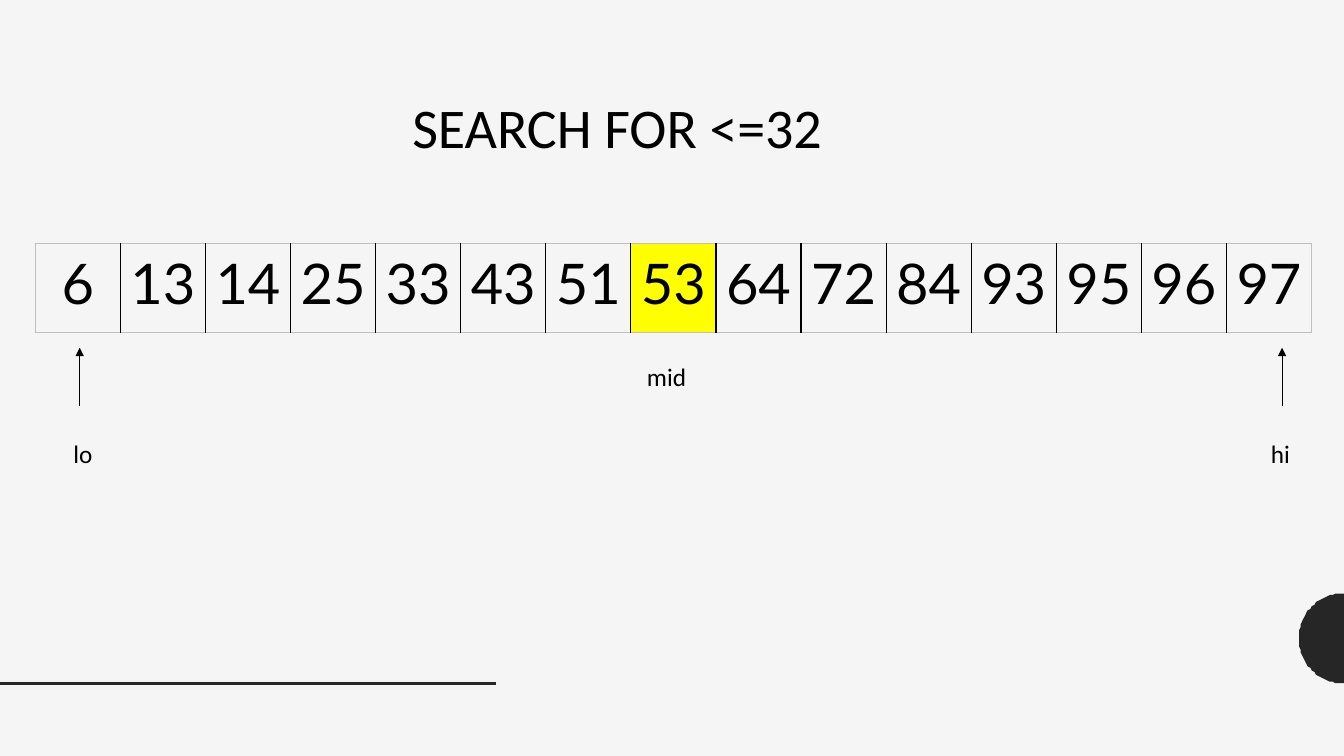
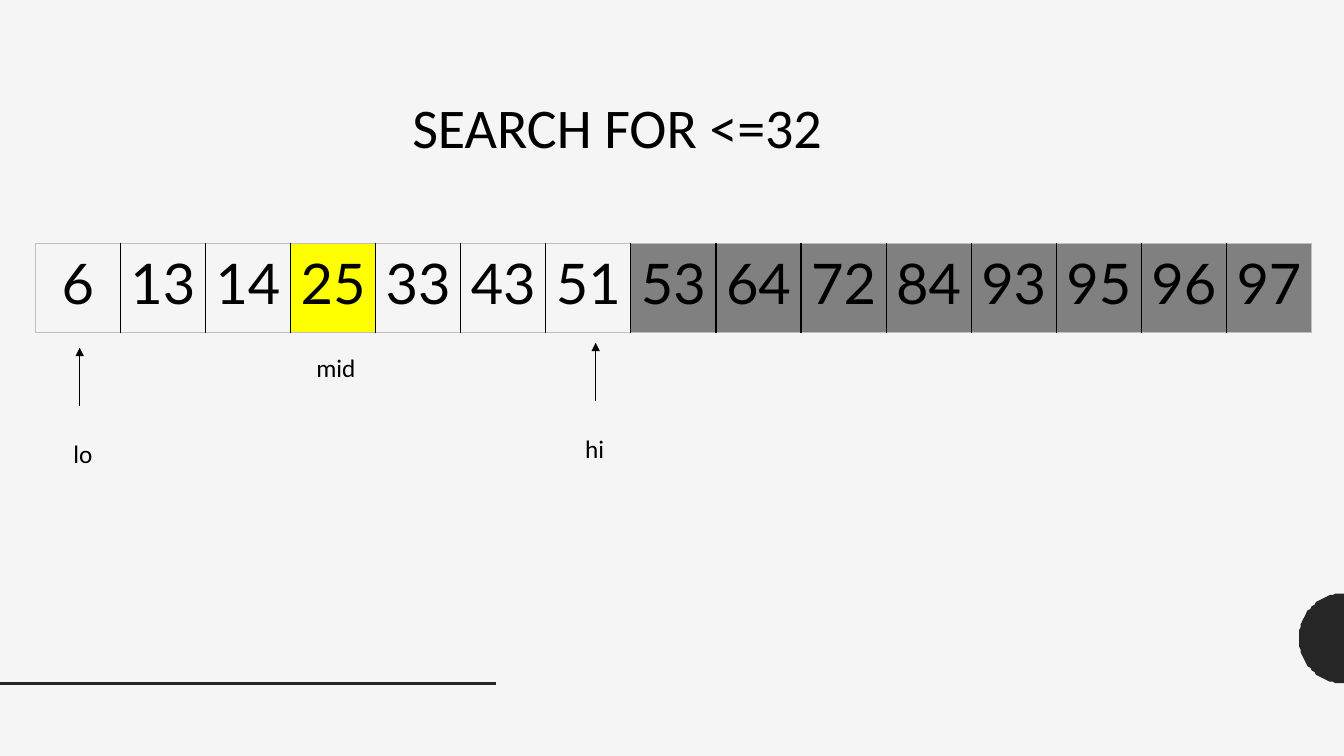
from math import cos, pi, sin
from lxml.etree import SubElement as Sub
from pptx import Presentation
from pptx.dml.color import RGBColor as Color
from pptx.enum.shapes import MSO_CONNECTOR as Link
from pptx.enum.text import MSO_ANCHOR as Anchor, MSO_AUTO_SIZE as Auto, PP_ALIGN as Align
from pptx.oxml.ns import qn
from pptx.util import Pt

HUES = {"back": "F5F5F5", "dark": "262626", "ink": "000000",
        "edge": "BFBFBF", "mid": "FFFF00", "out": "808080"}
VALUES = [6, 13, 14, 25, 33, 43, 51, 53, 64, 72, 84, 93, 95, 96, 97]


def hue(name):
    return Color.from_string(HUES[name])


def write(frame, text, size=18, font="Calibri", tint="ink", align=Align.LEFT):
    para = frame.paragraphs[0]
    para.alignment = align
    run = para.add_run()
    run.text = text
    run.font.size = Pt(size)
    run.font.name = font
    run.font.color.rgb = hue(tint)


class Deck:
    def __init__(self):
        self.prs = Presentation()
        self.prs.slide_width, self.prs.slide_height = Pt(960), Pt(540)
        fill = self.prs.slide_master.background.fill
        fill.solid()
        fill.fore_color.rgb = hue("back")

    def page(self, title):
        self.slide = self.prs.slides.add_slide(self.prs.slide_layouts[5])
        self.shapes = self.slide.shapes
        self.disc(960, 456, 32.3)
        self.line(self.shapes, (0, 488.2), (354.2, 488.2), "dark", 2)
        self.title(title)

    def title(self, text):
        box = self.shapes.title
        box.left, box.top, box.width, box.height = Pt(287.3), Pt(62.6), Pt(355), Pt(55.4)
        frame = box.text_frame
        frame.auto_size = Auto.NONE
        frame.vertical_anchor = Anchor.TOP
        write(frame, text, size=40)

    def disc(self, x, y, radius, steps=48):
        arc = [(x - radius * sin(pi * i / steps), y - radius * cos(pi * i / steps))
               for i in range(steps + 1)]
        form = self.shapes.build_freeform(*arc[0], scale=Pt(1))
        form.add_line_segments(arc[1:], close=True)
        shape = form.convert_to_shape()
        shape.shadow.inherit = False
        shape.fill.solid()
        shape.fill.fore_color.rgb = hue("dark")
        shape.line.fill.background()

    def line(self, shapes, start, end, tint, width, head=False):
        link = shapes.add_connector(Link.STRAIGHT, *map(Pt, start + end))
        link.line.color.rgb = hue(tint)
        link.line.width = Pt(width)
        if head:
            Sub(link.line._get_or_add_ln(), qn("a:tailEnd"), type="triangle")
        Sub(link._element.spPr, qn("a:effectLst"))

    def label(self, shapes, text, x, y, width):
        box = shapes.add_textbox(Pt(x), Pt(y), Pt(width), Pt(29))
        box.text_frame.word_wrap = True
        write(box.text_frame, text)

    def marker(self, text, x, y, shift):
        group = self.shapes.add_group_shape().shapes
        self.line(group, (x, y + 41.8), (x, y), "ink", 0.5, head=True)
        self.label(group, text, x - shift, y + 61.2, 30)

    def border(self, cell, side, tint):
        edge = Sub(cell._tc.get_or_add_tcPr(), qn("a:" + side), w=str(Pt(1)))
        Sub(Sub(edge, qn("a:solidFill")), qn("a:srgbClr"), val=HUES[tint])

    def strip(self, values, fills):
        last = len(values) - 1
        table = self.shapes.add_table(1, last + 1, Pt(25.2), Pt(174.2), Pt(911.7), Pt(63.4)).table
        table.first_row = table.horz_banding = False
        for i, value in enumerate(values):
            table.columns[i].width = Pt(60.78)
            cell = table.cell(0, i)
            cell.margin_left = cell.margin_right = Pt(3)
            write(cell.text_frame, str(value), size=40, font="Lato", align=Align.CENTER)
            self.border(cell, "lnL", "ink" if i else "edge")
            self.border(cell, "lnR", "ink" if i < last else "edge")
            self.border(cell, "lnT", "edge")
            self.border(cell, "lnB", "edge")
            if i in fills:
                cell.fill.solid()
                cell.fill.fore_color.rgb = hue(fills[i])
            else:
                cell.fill.background()


deck = Deck()
STEPS = [
    ({7: "mid"}, (915.8, 248.4, 15.1), (455, 254.2)),
    ({3: "mid", **dict.fromkeys(range(7, 15), "out")}, (425.5, 244.8, 14.6), (218.9, 248.4)),
]
for fills, high, mid in STEPS:
    deck.page("SEARCH FOR <=32")
    deck.strip(VALUES, fills)
    deck.marker("lo", 56.9, 248.4, 11.5)
    deck.marker("hi", *high)
    deck.label(deck.shapes, "mid", *mid, 46)
deck.prs.save("out.pptx")
